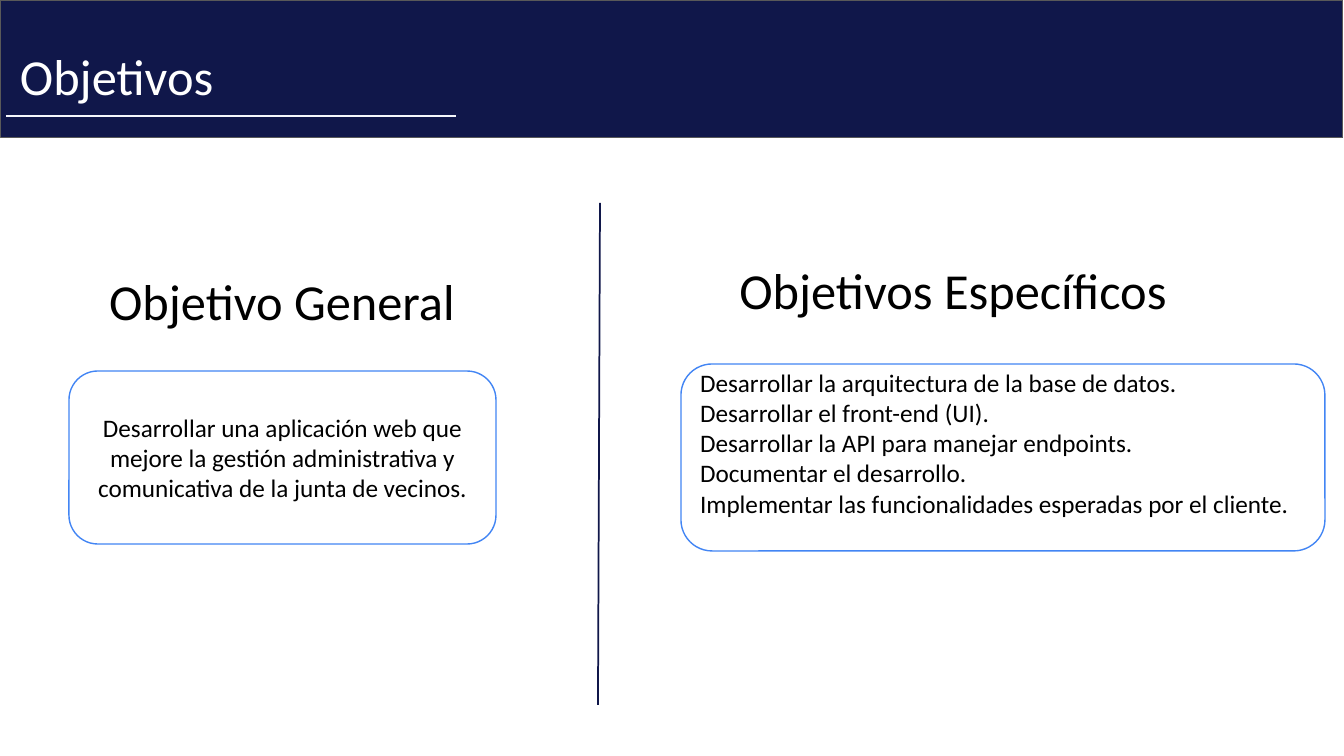
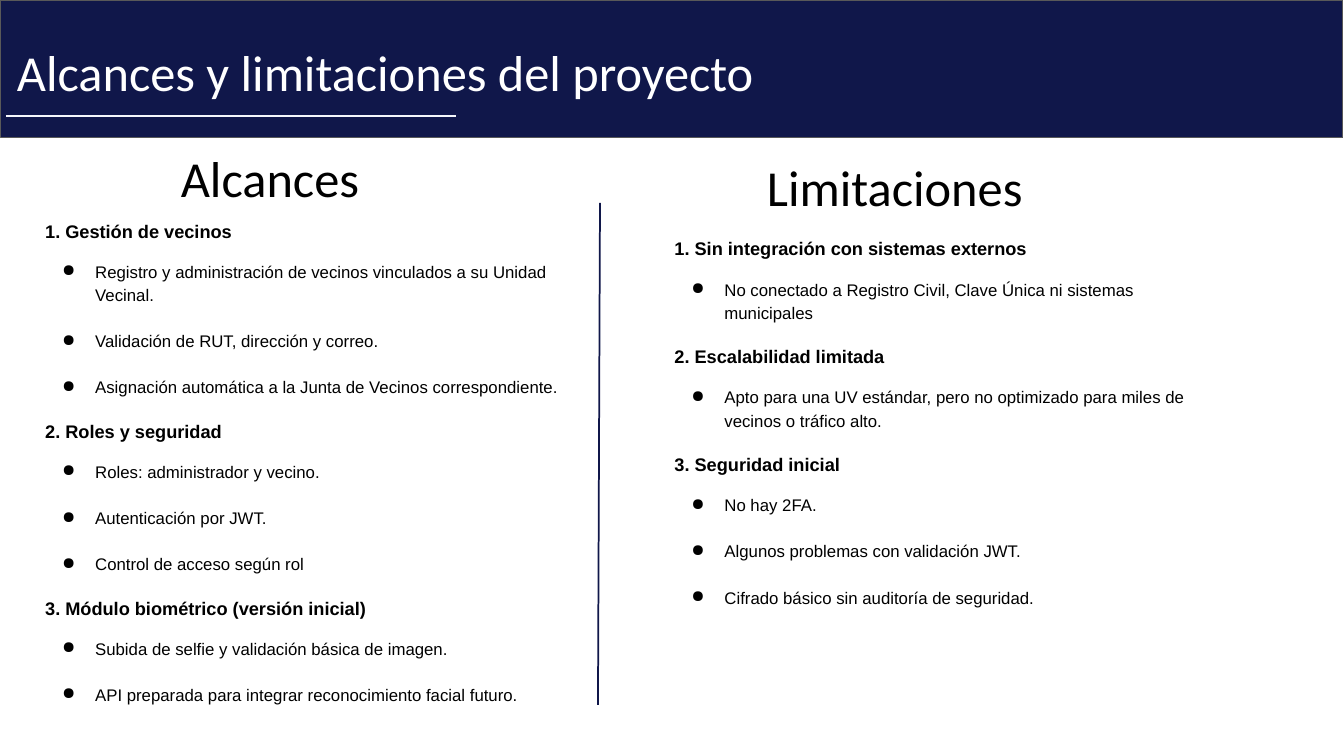
import pptx
import pptx.util
import pptx.dml.color
import pptx.enum.shapes
import pptx.enum.text
import pptx.oxml.ns
from lxml import etree

SCALE = 914400 / 100.8
WIDE, HIGH = 1344, 756
HUES = {"navy": "10174A", "edge": "595959", "rule": "F5F7FC",
        "blue": "4285F4", "white": "FFFFFF", "black": "000000"}
FORM = pptx.enum.shapes.MSO_SHAPE
ALIGN = pptx.enum.text.PP_ALIGN
MIDDLE = pptx.enum.text.MSO_ANCHOR.MIDDLE

GOAL = ["Desarrollar una aplicación web que mejore la gestión administrativa "
        "y comunicativa de la junta de vecinos."]
AIMS = ["Desarrollar la arquitectura de la base de datos.",
        "Desarrollar el front-end (UI).",
        "Desarrollar la API para manejar endpoints.",
        "Documentar el desarrollo.",
        "Implementar las funcionalidades esperadas por el cliente."]
SCOPE = {
    "1. Gestión de vecinos": [
        "Registro y administración de vecinos vinculados a su Unidad Vecinal.",
        "Validación de RUT, dirección y correo.",
        "Asignación automática a la Junta de Vecinos correspondiente."],
    "2. Roles y seguridad": [
        "Roles: administrador y vecino.",
        "Autenticación por JWT.",
        "Control de acceso según rol"],
    "3. Módulo biométrico (versión inicial)": [
        "Subida de selfie y validación básica de imagen.",
        "API preparada para integrar reconocimiento facial futuro."],
}
LIMITS = {
    "1. Sin integración con sistemas externos": [
        "No conectado a Registro Civil, Clave Única ni sistemas municipales"],
    "2. Escalabilidad limitada": [
        "Apto para una UV estándar, pero no optimizado para miles de vecinos "
        "o tráfico alto."],
    "3. Seguridad inicial": [
        "No hay 2FA.",
        "Algunos problemas con validación JWT.",
        "Cifrado básico sin auditoría de seguridad."],
}


def px(size):
    return pptx.util.Emu(round(size * SCALE))


def tint(name):
    return pptx.dml.color.RGBColor.from_string(HUES[name])


def dot(para):
    """Give a paragraph a hanging round bullet."""
    props = para._p.get_or_add_pPr()
    props.set("marL", str(px(50)))
    props.set("indent", str(px(-33)))
    tag = pptx.oxml.ns.qn
    color = etree.SubElement(props, tag("a:buClr"))
    etree.SubElement(color, tag("a:srgbClr"), val=HUES["black"])
    etree.SubElement(props, tag("a:buChar"), char="●")


def write(frame, text, size=18, font="Calibri", color="black", bold=False,
          align=ALIGN.LEFT, space=None, before=0, bullet=False):
    """Add one paragraph; the first fills the frame's own."""
    first = frame.paragraphs[0]
    para = frame.add_paragraph() if first.runs else first
    if bullet:
        dot(para)
    para.alignment = align
    if space:
        para.line_spacing = space
    if before:
        para.space_before = pptx.util.Pt(before)
    run = para.add_run()
    run.text = text
    run.font.size = pptx.util.Pt(size)
    run.font.name = font
    run.font.bold = bold
    run.font.color.rgb = tint(color)


def pad(frame, top=5, foot=5):
    frame.word_wrap = True
    frame.margin_left = frame.margin_right = px(10)
    frame.margin_top, frame.margin_bottom = px(top), px(foot)


def block(slide, form, box, fill, edge, width):
    shape = slide.shapes.add_shape(form, *map(px, box))
    shape.shadow.inherit = False
    shape.fill.solid()
    shape.fill.fore_color.rgb = tint(fill)
    shape.line.color.rgb = tint(edge)
    shape.line.width = pptx.util.Pt(width)
    return shape


def line(slide, start, end, color):
    link = slide.shapes.add_connector(
        pptx.enum.shapes.MSO_CONNECTOR.STRAIGHT, *map(px, start + end))
    link.line.color.rgb = tint(color)
    link.line.width = pptx.util.Pt(1.25)
    etree.SubElement(link._element.spPr, pptx.oxml.ns.qn("a:effectLst"))


def label(slide, box, text, **style):
    frame = slide.shapes.add_textbox(*map(px, box)).text_frame
    pad(frame)
    write(frame, text, size=36, **style)


def base(deck, title, box, align):
    """Blank slide with title band, underline and column divider."""
    slide = deck.slides.add_slide(deck.slide_layouts[6])
    block(slide, FORM.RECTANGLE, (1, 0, WIDE - 2, 138), "navy", "edge", 0.75)
    label(slide, box, title, color="white", align=align)
    line(slide, (6, 116), (456, 116), "rule")
    return slide


def split(slide):
    line(slide, (598, 705), (600, 203), "navy")


def panel(slide, box, title, edge, rise, shift=0, top=5, foot=5,
          align=ALIGN.CENTER, space=None):
    """Rounded card with a heading above its centre; returns its frame."""
    left, upper, width, _ = box
    card = block(slide, FORM.ROUNDED_RECTANGLE, box, "white", edge, 1)
    frame = card.text_frame
    pad(frame, top, foot)
    frame.vertical_anchor = MIDDLE
    span = 470
    spot = (left + (width - span) // 2 + shift, upper - rise, span, 72)
    label(slide, spot, title, align=align, space=space)
    return frame


def plain(frame, lines, align):
    for text in lines:
        write(frame, text, align=align)


def outline(frame, groups):
    """Numbered bold headings, each with its bullets."""
    style = {"font": "Arial", "space": 1.15}
    for rank, (name, items) in enumerate(groups.items()):
        write(frame, name, size=13, bold=True, before=14 if rank else 0, **style)
        for order, item in enumerate(items):
            write(frame, item, size=12, bullet=True,
                  before=16.4 if order else 12, **style)


def goals(deck):
    slide = base(deck, "Objetivos", (10, 40, 446, 72), ALIGN.LEFT)
    frame = panel(slide, (69, 371, 427, 173), "Objetivo General", "blue", 106)
    plain(frame, GOAL, ALIGN.CENTER)
    frame = panel(slide, (681, 364, 644, 187), "Objetivos Específicos", "blue",
                  110, shift=-50, top=0, foot=30)
    plain(frame, AIMS, ALIGN.LEFT)
    split(slide)


def scope(deck):
    slide = base(deck, "Alcances y limitaciones del proyecto",
                 (-9, 36, 789, 132), ALIGN.CENTER)
    frame = panel(slide, (10, 203, 590, 516), "Alcances", "white", 61, shift=-35)
    outline(frame, SCOPE)
    frame = panel(slide, (638, 168, 598, 542), "Limitaciones", "white", 26,
                  shift=55, foot=41, align=ALIGN.LEFT, space=1.15)
    outline(frame, LIMITS)
    split(slide)


def main():
    deck = pptx.Presentation()
    deck.slide_width, deck.slide_height = px(WIDE), px(HIGH)
    goals(deck)
    scope(deck)
    deck.save("out.pptx")


if __name__ == "__main__":
    main()
